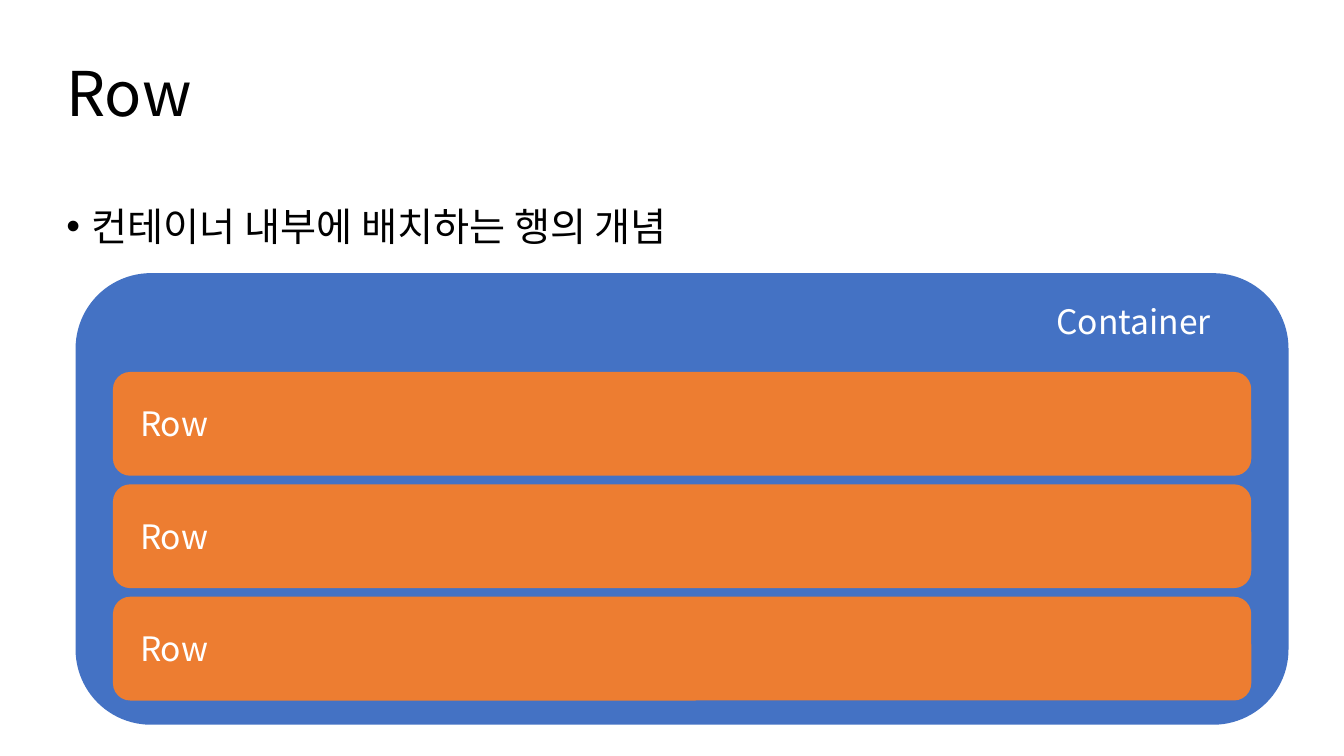
import pptx
import pptx.dml.color
import pptx.enum.shapes
import pptx.enum.text
import pptx.util
from lxml import etree
from pptx.oxml.ns import qn

Inches = pptx.util.Inches
Pt = pptx.util.Pt
RGB = pptx.dml.color.RGBColor
ANCHOR = pptx.enum.text.MSO_ANCHOR

BLACK = RGB(0x00, 0x00, 0x00)
WHITE = RGB(0xFF, 0xFF, 0xFF)
BLUE = RGB(0x44, 0x72, 0xC4)
ORANGE = RGB(0xED, 0x7D, 0x31)


class Deck:
    """Holds the shared style and the current slide."""

    font = "Noto Sans CJK KR"

    def __init__(self):
        self.prs = pptx.Presentation()
        self.prs.slide_width = Inches(13.33)
        self.prs.slide_height = Inches(7.5)
        self.slide = self.prs.slides.add_slide(self.prs.slide_layouts[5])

    def put_text(self, frame, text, size, color, **form):
        para = frame.paragraphs[0]
        form = {"alignment": pptx.enum.text.PP_ALIGN.LEFT, **form}
        for key, value in form.items():
            setattr(para, key, value)
        run = para.add_run()
        run.text = text
        run.font.name = self.font
        run.font.size = Pt(size)
        run.font.color.rgb = color
        props = run.font._element
        etree.SubElement(props, qn("a:ea"), typeface=self.font)
        return para

    def title(self, text, *box):
        head = self.slide.shapes.title
        head.left, head.top, head.width, head.height = map(Inches, box)
        head.text_frame.vertical_anchor = ANCHOR.MIDDLE
        self.put_text(head.text_frame, text, 44, BLACK, line_spacing=1.5)

    def bullet(self, text, *box):
        shape = self.slide.shapes.add_textbox(*map(Inches, box))
        frame = shape.text_frame
        frame.word_wrap = True
        frame.margin_top = Inches(0.19)
        para = self.put_text(frame, text, 28, BLACK, line_spacing=1.5)
        props = para._p.get_or_add_pPr()
        props.set("marL", str(Inches(0.25)))
        props.set("indent", str(-Inches(0.25)))
        etree.SubElement(props, qn("a:buFont"), typeface="Arial")
        etree.SubElement(props, qn("a:buChar"), char="•")

    def panel(self, color, *box):
        kind = pptx.enum.shapes.MSO_SHAPE.ROUNDED_RECTANGLE
        shape = self.slide.shapes.add_shape(kind, *map(Inches, box))
        shape.shadow.inherit = False
        shape.fill.solid()
        shape.fill.fore_color.rgb = color
        shape.line.fill.background()

    def label(self, text, *box):
        shape = self.slide.shapes.add_textbox(*map(Inches, box))
        frame = shape.text_frame
        frame.word_wrap = False
        frame.auto_size = pptx.enum.text.MSO_AUTO_SIZE.SHAPE_TO_FIT_TEXT
        self.put_text(frame, text, 24, WHITE)


def main():
    deck = Deck()
    deck.title("Row", 0.56, 0, 12.31, 1.45)
    deck.bullet("컨테이너 내부에 배치하는 행의 개념", 0.56, 1.58, 12.31, 5.69)
    deck.panel(BLUE, 0.75, 2.71, 12.03, 4.48)
    deck.label("Container", 10.38, 2.94, 1.85, 0.5)
    gap = (5.92 - 3.69) / 2
    for i in range(3):
        top = 3.69 + gap * i
        deck.panel(ORANGE, 1.12, top, 11.29, 1.03)
        deck.label("Row", 1.29, top + 0.26, 0.95, 0.5)
    deck.prs.save("out.pptx")


if __name__ == "__main__":
    main()
